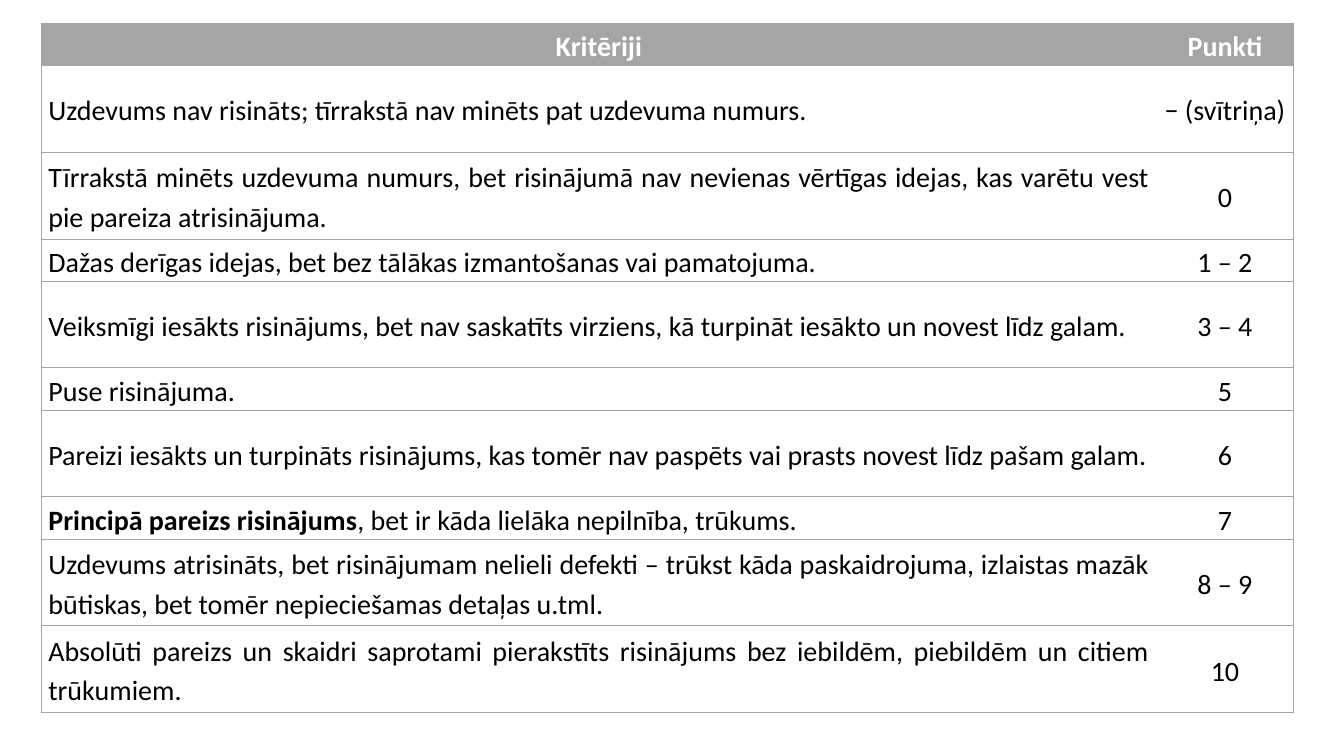
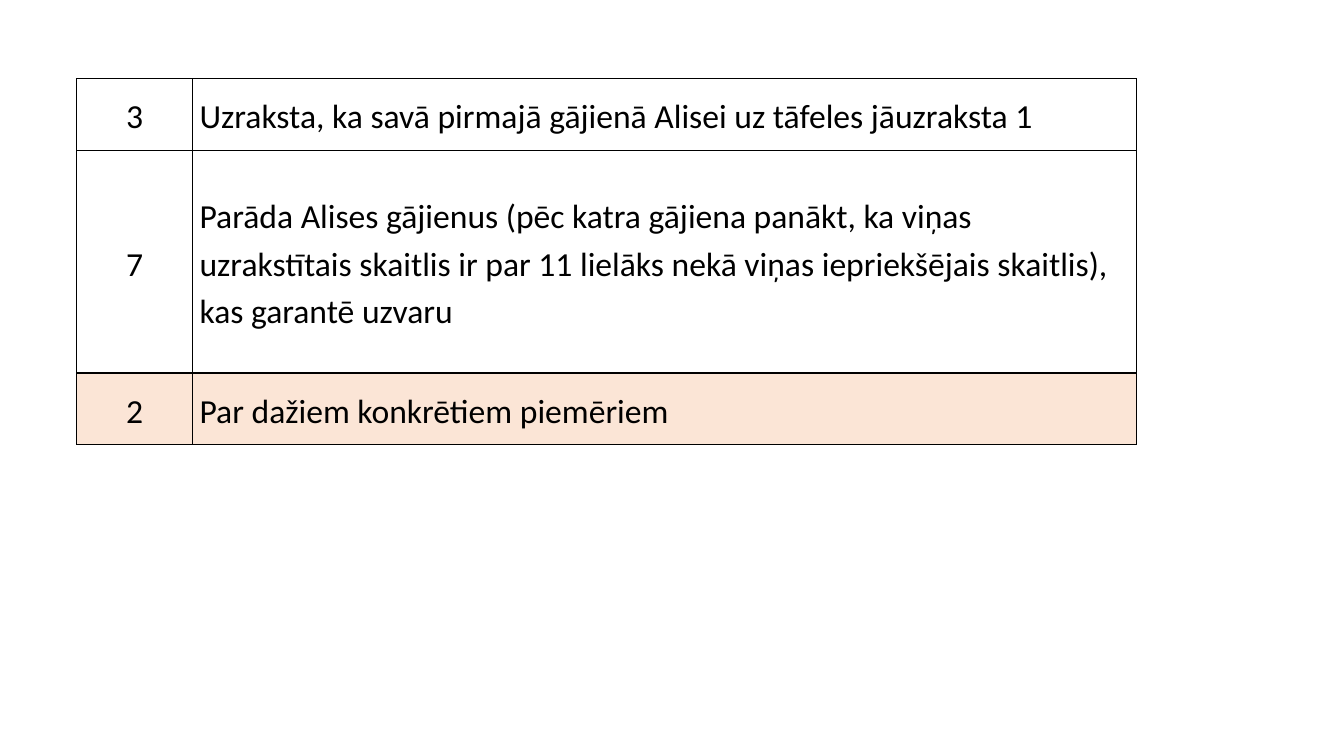
"""Build two slides of grading criteria tables."""
from dataclasses import dataclass

from lxml import etree
from pptx import Presentation
from pptx.dml.color import RGBColor
from pptx.enum.text import MSO_ANCHOR, PP_ALIGN
from pptx.oxml.ns import qn
from pptx.util import Inches, Pt

CENTER, JUSTIFY, LEFT = PP_ALIGN.CENTER, PP_ALIGN.JUSTIFY, PP_ALIGN.LEFT
MIDDLE = MSO_ANCHOR.MIDDLE
BLANK_LAYOUT = 6


@dataclass(frozen=True)
class Theme:
    """Colours, type sizes and cell spacing shared by the slides."""
    font: str = "Calibri"
    text: str = "000000"
    header_text: str = "FFFFFF"
    gray: str = "A5A5A5"
    peach: str = "FBE5D6"
    criteria_size: int = 20
    scheme_size: int = 24
    line_spacing: float = 1.15
    space_after: int = 10
    side_margin: float = 0.07


@dataclass(frozen=True)
class Run:
    """A stretch of text in one weight."""
    text: str
    bold: bool = False


@dataclass(frozen=True)
class Row:
    """A table row: one list of runs per cell, and its look."""
    height: float
    cells: tuple[tuple[Run, ...], ...]
    fill: str | None = None
    color: str = Theme.text
    aligns: tuple[PP_ALIGN, ...] | None = None


@dataclass(frozen=True)
class TableStyle:
    """Placement, columns and rules of one table."""
    left: float
    top: float
    widths: tuple[float, ...]
    aligns: tuple[PP_ALIGN, ...]
    size: int
    border_color: str
    border_width: float
    inner_verticals: bool
    has_header: bool


THEME = Theme()
SHORT, TALL = 0.42, 0.86

CRITERIA_STYLE = TableStyle(
    0.41, 0.23, (11.06, 1.36), (JUSTIFY, CENTER), THEME.criteria_size,
    THEME.gray, 0.5, inner_verticals=False, has_header=True)
SCHEME_STYLE = TableStyle(
    0.76, 0.78, (1.15, 9.36), (CENTER, LEFT), THEME.scheme_size,
    THEME.text, 1, inner_verticals=True, has_header=False)


def plain(height: float, *texts: str, fill: str | None = None) -> Row:
    """Return a row whose cells each hold one regular run."""
    return Row(height, tuple((Run(text),) for text in texts), fill)


CRITERIA = (
    Row(SHORT, ((Run("Kritēriji", True),), (Run("Punkti", True),)),
        THEME.gray, THEME.header_text, (CENTER, CENTER)),
    plain(TALL, "Uzdevums nav risināts; tīrrakstā nav minēts pat uzdevuma numurs.",
          "− (svītriņa)"),
    plain(TALL, "Tīrrakstā minēts uzdevuma numurs, bet risinājumā nav nevienas "
          "vērtīgas idejas, kas varētu vest pie pareiza atrisinājuma.", "0"),
    plain(SHORT, "Dažas derīgas idejas, bet bez tālākas izmantošanas vai pamatojuma.",
          "1 – 2"),
    plain(TALL, "Veiksmīgi iesākts risinājums, bet nav saskatīts virziens, kā "
          "turpināt iesākto un novest līdz galam.", "3 – 4"),
    plain(SHORT, "Puse risinājuma.", "5"),
    plain(TALL, "Pareizi iesākts un turpināts risinājums, kas tomēr nav paspēts "
          "vai prasts novest līdz pašam galam.", "6"),
    Row(SHORT, ((Run("Principā pareizs risinājums", True),
                 Run(", bet ir kāda lielāka nepilnība, trūkums.")), (Run("7"),))),
    plain(TALL, "Uzdevums atrisināts, bet risinājumam nelieli defekti – trūkst kāda "
          "paskaidrojuma, izlaistas mazāk būtiskas, bet tomēr nepieciešamas "
          "detaļas u.tml.", "8 – 9"),
    plain(TALL, "Absolūti pareizs un skaidri saprotami pierakstīts risinājums bez "
          "iebildēm, piebildēm un citiem trūkumiem.", "10"),
)

SCHEME = (
    plain(0.71, "3", "Uzraksta, ka savā pirmajā gājienā Alisei uz tāfeles jāuzraksta 1"),
    plain(2.21, "7", "Parāda Alises gājienus (pēc katra gājiena panākt, ka viņas "
          "uzrakstītais skaitlis ir par 11 lielāks nekā viņas iepriekšējais "
          "skaitlis), kas garantē uzvaru"),
    plain(0.71, "2", "Par dažiem konkrētiem piemēriem", fill=THEME.peach),
)


def set_borders(cell, style: TableStyle, column: int) -> None:
    """Rule the cell on every side the table style asks for."""
    visible = {
        "a:lnL": column == 0 or style.inner_verticals,
        "a:lnR": column == len(style.widths) - 1 or style.inner_verticals,
        "a:lnT": True,
        "a:lnB": True,
    }
    properties = cell._tc.get_or_add_tcPr()
    for position, (side, shown) in enumerate(visible.items()):
        line = etree.Element(qn(side), w=str(Pt(style.border_width)))
        if shown:
            paint = etree.SubElement(line, qn("a:solidFill"))
            etree.SubElement(paint, qn("a:srgbClr"), val=style.border_color)
        else:
            etree.SubElement(line, qn("a:noFill"))
        properties.insert(position, line)


def write_cell(cell, runs: tuple[Run, ...], align: PP_ALIGN, color: str, size: int) -> None:
    """Fill the cell with its runs in the shared text style."""
    cell.vertical_anchor = MIDDLE
    cell.margin_left = cell.margin_right = Inches(THEME.side_margin)
    cell.margin_top = cell.margin_bottom = 0
    paragraph = cell.text_frame.paragraphs[0]
    paragraph.alignment = align
    paragraph.line_spacing = THEME.line_spacing
    paragraph.space_after = Pt(THEME.space_after)
    for part in runs:
        run = paragraph.add_run()
        run.text = part.text
        run.font.name = THEME.font
        run.font.size = Pt(size)
        run.font.bold = part.bold
        run.font.color.rgb = RGBColor.from_string(color)


def add_points_table(slide, style: TableStyle, rows: tuple[Row, ...]) -> None:
    """Add a table of points and criteria to the slide."""
    table = slide.shapes.add_table(
        len(rows), len(style.widths), Inches(style.left), Inches(style.top),
        Inches(sum(style.widths)), Inches(sum(row.height for row in rows))).table
    table.first_row = style.has_header
    table.horz_banding = False
    for column, width in zip(table.columns, style.widths):
        column.width = Inches(width)
    for row_index, row in enumerate(rows):
        table.rows[row_index].height = Inches(row.height)
        aligns = row.aligns or style.aligns
        for column_index, (runs, align) in enumerate(zip(row.cells, aligns)):
            cell = table.cell(row_index, column_index)
            write_cell(cell, runs, align, row.color, style.size)
            if row.fill:
                cell.fill.solid()
                cell.fill.fore_color.rgb = RGBColor.from_string(row.fill)
            else:
                cell.fill.background()
            set_borders(cell, style, column_index)


def main() -> None:
    """Build and save the presentation."""
    presentation = Presentation()
    presentation.slide_width = Inches(13.33)
    presentation.slide_height = Inches(7.5)
    for style, rows in ((CRITERIA_STYLE, CRITERIA), (SCHEME_STYLE, SCHEME)):
        slide = presentation.slides.add_slide(presentation.slide_layouts[BLANK_LAYOUT])
        add_points_table(slide, style, rows)
    presentation.save("out.pptx")


if __name__ == "__main__":
    main()
